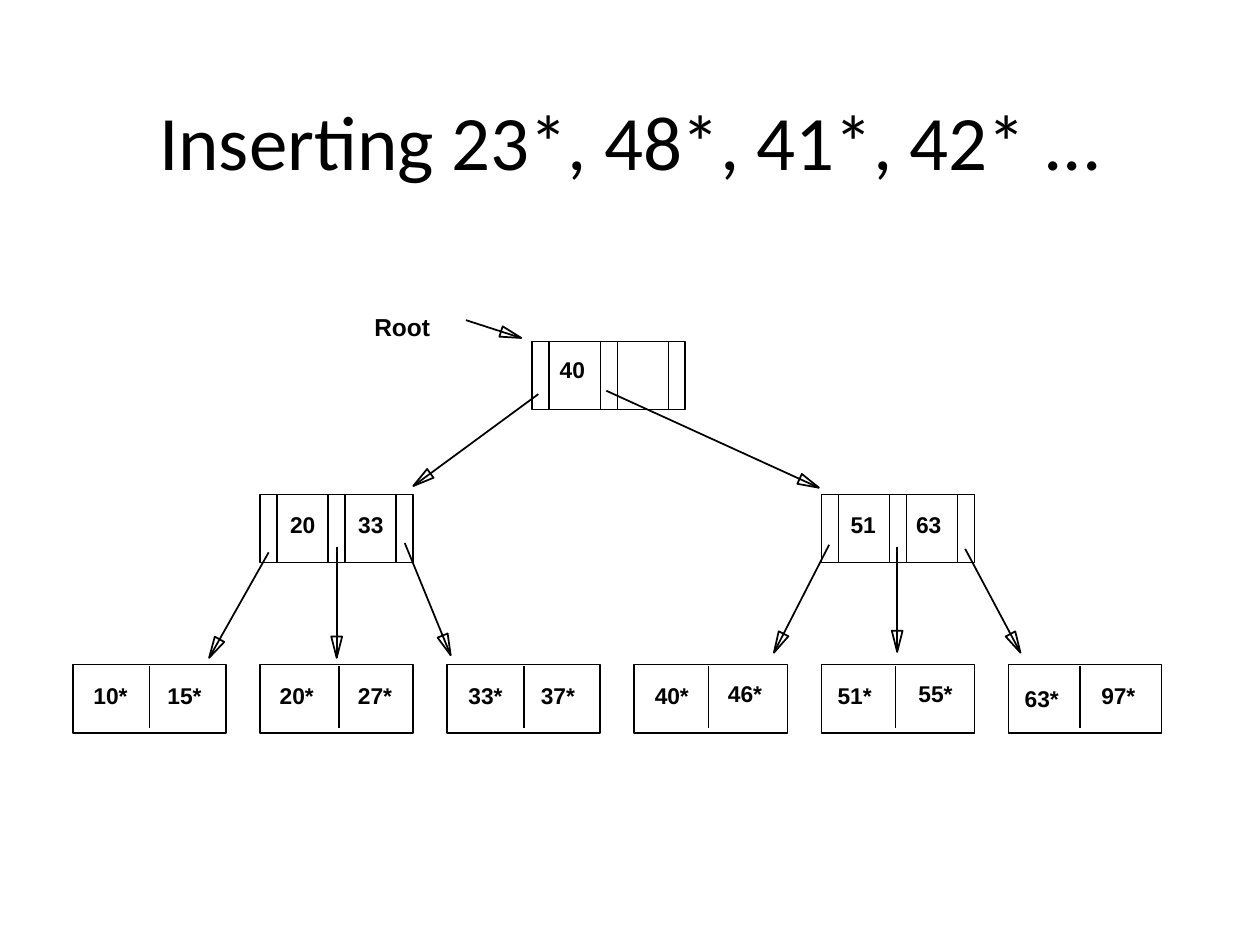
from dataclasses import dataclass
from math import hypot
from lxml.etree import SubElement
from pptx import Presentation
from pptx.dml.color import RGBColor
from pptx.enum.shapes import MSO_CONNECTOR, MSO_SHAPE
from pptx.enum.text import MSO_ANCHOR, MSO_AUTO_SIZE, PP_ALIGN
from pptx.oxml.ns import qn
from pptx.util import Inches, Pt

# Grid: one unit is a pointer's width; a node is 9 units wide and 4 high
UNIT, GRID_LEFT, GRID_TOP = 0.135, 0.58, 2.71
NODE_WIDTH, NODE_HEIGHT, LEAF_PITCH = 9, 4, 11
INNER_ROW, LEAF_ROW = 9, 19
POINTER_EDGES = (1, 4, 5, 8)
KEY_HEIGHT = 2.3


def color(hex_code):
    return RGBColor.from_string(hex_code)


def x(column):
    return Inches(GRID_LEFT + column * UNIT)


def y(row):
    return Inches(GRID_TOP + row * UNIT)


def size(units):
    return Inches(units * UNIT)


@dataclass
class TreeSlide:
    slide: object
    ink: str = "000000"
    line_width: float = 1

    def draw_line_style(self, shape):
        shape.line.color.rgb = color(self.ink)
        shape.line.width = Pt(self.line_width)

    def text(self, words, box, frame_format, font_format):
        frame = self.slide.shapes.add_textbox(*box).text_frame
        for name, value in frame_format.items():
            setattr(frame, name, value)
        paragraph = frame.paragraphs[0]
        paragraph.alignment = PP_ALIGN.CENTER
        run = paragraph.add_run()
        run.text = words
        for name, value in font_format.items():
            setattr(run.font, name, value)
        run.font.color.rgb = color(self.ink)

    def title(self, words):
        box = Inches(0.83), Inches(0.5), Inches(8.5), Inches(1.21)
        self.text(words, box,
                  {"word_wrap": True, "vertical_anchor": MSO_ANCHOR.MIDDLE},
                  {"size": Pt(44), "name": "Calibri"})

    def label(self, words, column, row, width, points=13):
        """Bold text centred on a grid point."""
        box = (x(column - width / 2), y(row - KEY_HEIGHT / 2),
               size(width), size(KEY_HEIGHT))
        self.text(words, box,
                  {"word_wrap": False, "auto_size": MSO_AUTO_SIZE.SHAPE_TO_FIT_TEXT},
                  {"size": Pt(points), "name": "Arial", "bold": True})

    def line(self, start, end):
        connector = self.slide.shapes.add_connector(
            MSO_CONNECTOR.STRAIGHT, x(start[0]), y(start[1]), x(end[0]), y(end[1]))
        self.draw_line_style(connector)
        properties = connector.line._get_or_add_ln().getparent()
        SubElement(properties, qn("a:effectLst"))

    def arrow(self, start, end, length=1.25, half_width=0.32):
        """A line with an open triangle at its end."""
        self.line(start, end)
        dx, dy = end[0] - start[0], end[1] - start[1]
        reach = hypot(dx, dy)
        dx, dy = dx / reach, dy / reach
        base = end[0] - length * dx, end[1] - length * dy
        corners = [(base[0] - side * dy, base[1] + side * dx)
                   for side in (half_width, -half_width)]
        points = [(x(column), y(row)) for column, row in (end, *corners)]
        builder = self.slide.shapes.build_freeform(*points[0])
        builder.add_line_segments(points[1:], close=True)
        self.outline(builder.convert_to_shape())

    def outline(self, shape):
        shape.fill.background()
        shape.shadow.inherit = False
        self.draw_line_style(shape)

    def node(self, column, row, dividers, top=0, bottom=NODE_HEIGHT):
        self.outline(self.slide.shapes.add_shape(
            MSO_SHAPE.RECTANGLE, x(column), y(row), size(NODE_WIDTH), size(NODE_HEIGHT)))
        for divider in dividers:
            self.line((column + divider, row + top), (column + divider, row + bottom))


# Inner nodes: column, row, then each key with its offset in the node
INNER_NODES = [
    (27, 0, [("40", 2.35, 1.65)]),
    (11, INNER_ROW, [("20", 2.5, 1.75), ("33", 6.5, 1.75)]),
    (44, INNER_ROW, [("51", 2.45, 1.75), ("63", 6.3, 1.75)]),
]

# Leaves from left to right: divider offset, then each entry with its offset
LEAVES = [
    (4.5, [("10*", 2.2, 1.8), ("15*", 6.55, 1.8)]),
    (4.65, [("20*", 2.15, 1.8), ("27*", 6.75, 1.8)]),
    (4.5, [("33*", 2.25, 1.8), ("37*", 6.5, 1.8)]),
    (4.35, [("40*", 2.2, 1.8), ("46*", 6.5, 1.65)]),
    (4.35, [("51*", 1.95, 1.8), ("55*", 6.7, 1.65)]),
    (4.2, [("63*", 1.95, 1.95), ("97*", 6.45, 1.8)]),
]

# Pointers between grid points
POINTERS = [
    ((23.1, -1.25), (26.35, -0.2)),
    ((27.35, 3.1), (20, 8.5)),
    ((31.35, 2.9), (43.85, 8.6)),
    ((11.5, 12.4), (8, 18.6)),
    ((15.5, 12.1), (15.5, 18.6)),
    ((19.5, 11.85), (22.2, 18.45)),
    ((44.45, 11.95), (41.2, 18.3)),
    ((48.45, 12.1), (48.45, 18.25)),
    ((52.45, 12.2), (55.7, 18.3)),
]


def main():
    deck = Presentation()
    deck.slide_width, deck.slide_height = Inches(10), Inches(7.5)
    tree = TreeSlide(deck.slides.add_slide(deck.slide_layouts[6]))
    tree.title("Inserting 23*, 48*, 41*, 42* ... ")

    # Root and inner nodes
    tree.label("Root", 19.35, -0.93, 4.75, points=14)
    for column, row, keys in INNER_NODES:
        tree.node(column, row, POINTER_EDGES)
        for key, across, down in keys:
            tree.label(key, column + across, row + down, 3)

    # Leaves
    for index, (divider, entries) in enumerate(LEAVES):
        column = index * LEAF_PITCH
        tree.node(column, LEAF_ROW, [divider], top=0.1, bottom=3.75)
        for entry, across, down in entries:
            tree.label(entry, column + across, LEAF_ROW + down, 3.5)

    # Pointers
    for start, end in POINTERS:
        tree.arrow(start, end)

    deck.save("out.pptx")


if __name__ == "__main__":
    main()
